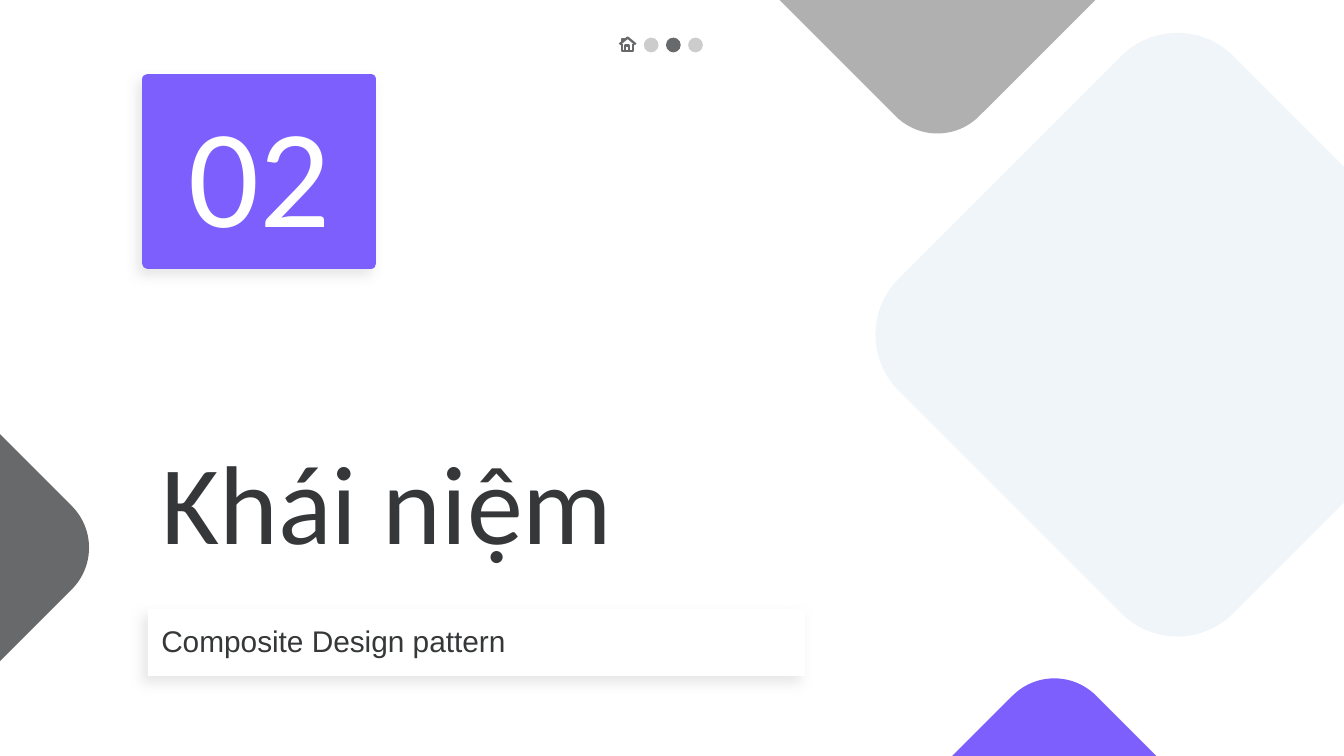
from lxml import etree
from pptx import Presentation
from pptx import util as u
from pptx.dml.color import RGBColor
from pptx.enum import shapes, text
from pptx.oxml import ns

COLOURS = {
    "white": "FFFFFF", "purple": "7D5FFE", "silver": "B0B0B0",
    "grey": "67696B", "ink": "353738", "ice": "F0F5FA",
}
KIND = shapes.MSO_SHAPE


def rgb(name):
    """Return the named colour."""
    return RGBColor.from_string(COLOURS[name])


def inches(*lengths):
    """Turn numbers into lengths."""
    return [u.Inches(length) for length in lengths]


def add_child(parent, tag, **attributes):
    """Append a drawing element with the given attributes."""
    child = etree.SubElement(parent, ns.qn(tag))
    for key, value in attributes.items():
        child.set(key, str(value))
    return child


def paint(part, fill, line=None, opacity=None):
    """Give a part a solid fill, an optional outline and no inherited shadow."""
    part.shadow.inherit = False
    part.fill.solid()
    part.fill.fore_color.rgb = rgb(fill)
    if opacity:
        colour = part._element.spPr.find(ns.qn("a:solidFill"))[0]
        add_child(colour, "a:alpha", val=opacity * 1000)
    if line:
        part.line.color.rgb = rgb(line)
    else:
        part.line.fill.background()


def cast_shadow(part):
    """Add the soft shadow that falls to the lower left."""
    effects = part._element.spPr.find(ns.qn("a:effectLst"))
    shadow = add_child(effects, "a:outerShdw", blurRad=u.Pt(6.8), dist=u.Pt(4.5),
                       dir=130 * 60000, algn="bl", rotWithShape=0)
    colour = add_child(shadow, "a:srgbClr", val=COLOURS["silver"])
    add_child(colour, "a:alpha", val=30000)


def write(part, words, anchor, align, **font):
    """Write one line of text with 0.1 inch insets."""
    frame = part.text_frame
    frame.text = words
    layout = {"word_wrap": True, "auto_size": text.MSO_AUTO_SIZE.NONE,
              "vertical_anchor": anchor}
    layout |= {f"margin_{side}": u.Inches(0.1)
               for side in ("left", "top", "right", "bottom")}
    for key, value in layout.items():
        setattr(frame, key, value)
    line = frame.paragraphs[0]
    line.alignment = align
    line.space_before = u.Pt(0)
    run = line.runs[0]
    run.font.color.rgb = rgb(font.pop("colour"))
    for key, value in font.items():
        setattr(run.font, key, value)


def place(part, box):
    """Move a placeholder into a box."""
    for key, value in zip(("left", "top", "width", "height"), inches(*box)):
        setattr(part, key, value)


def diamond(slide, left, top, side, colour):
    """Draw a rounded square standing on its corner."""
    tile = slide.shapes.add_shape(KIND.ROUNDED_RECTANGLE, *inches(left, top, side, side))
    tile.rotation = 315
    paint(tile, colour)


def section_number(slide, box, words):
    """Draw the purple tile that holds the section number."""
    number = slide.shapes.add_shape(KIND.RECTANGLE, *inches(*box))
    paint(number, "purple", line="purple")
    number.line.width = u.Pt(6)
    cast_shadow(number)
    write(number, words, text.MSO_ANCHOR.MIDDLE, text.PP_ALIGN.CENTER,
          size=u.Pt(75), name="Calibri", colour="white")


def headings(slide, left, width, title_words, subtitle_words):
    """Place the section title and, under it, the white subtitle panel."""
    subtitle = slide.placeholders[1]
    place(subtitle, (left, 4.53, width, 0.5))
    subtitle.fill.solid()
    subtitle.fill.fore_color.rgb = rgb("white")
    add_child(subtitle._element.spPr, "a:effectLst")
    cast_shadow(subtitle)
    write(subtitle, subtitle_words, text.MSO_ANCHOR.TOP, text.PP_ALIGN.LEFT,
          size=u.Pt(16), name="Arial", colour="ink")

    title = slide.shapes.title
    place(title, (left, 2.19, width, 2.13))
    write(title, title_words, text.MSO_ANCHOR.BOTTOM, text.PP_ALIGN.LEFT,
          size=u.Pt(60), name="Calibri", colour="ink")


def home_icon(slide, left, top):
    """Draw a small house in hundredths of an inch."""
    roof = [(0, 5), (6, 0), (11.5, 5)]
    walls = [(1.7, 5), (1.7, 10.3), (10, 10.3), (10, 5)]
    door = [(4.5, 10), (4.5, 6), (7.2, 6), (7.2, 10)]
    chimney = [(1.7, 3), (1.7, 1.2), (3.5, 1.2)]
    pen = slide.shapes.build_freeform(*roof[0], scale=u.Inches(0.01))
    pen.add_line_segments(roof[1:], close=False)
    for stroke in (walls, door, chimney):
        pen.move_to(*stroke[0])
        pen.add_line_segments(stroke[1:], close=False)
    house = pen.convert_to_shape(*inches(left, top))
    house.shadow.inherit = False
    house.fill.background()
    house.line.color.rgb = rgb("grey")
    house.line.width = u.Pt(1.25)


def progress(slide, left, top, count, current):
    """Draw the house and one dot per section, the current one darker."""
    home_icon(slide, left, top)
    for index in range(count):
        dot = slide.shapes.add_shape(
            KIND.OVAL, *inches(left + 0.18 + index * 0.165, top, 0.11, 0.11))
        if index == current:
            paint(dot, "grey")
        else:
            paint(dot, "silver", opacity=64)


def section_slide(deck):
    """Build the section opener."""
    slide = deck.slides.add_slide(deck.slide_layouts[0])
    for left, top, side, colour in (
            (5.66, -2, 2.63, "silver"), (-2.33, 2.76, 2.63, "grey"),
            (6.53, 5.41, 2.63, "purple"), (7, 0.73, 3.52, "ice")):
        diamond(slide, left, top, side, colour)
    section_number(slide, (1.1, 0.59, 1.66, 1.37), "02")
    headings(slide, 1.1, 4.89, "Khái niệm", "Composite Design pattern")
    progress(slide, 4.61, 0.28, count=3, current=1)


deck = Presentation()
deck.slide_width = u.Inches(10)
deck.slide_height = deck.slide_width * 9 // 16
section_slide(deck)
deck.save("out.pptx")
